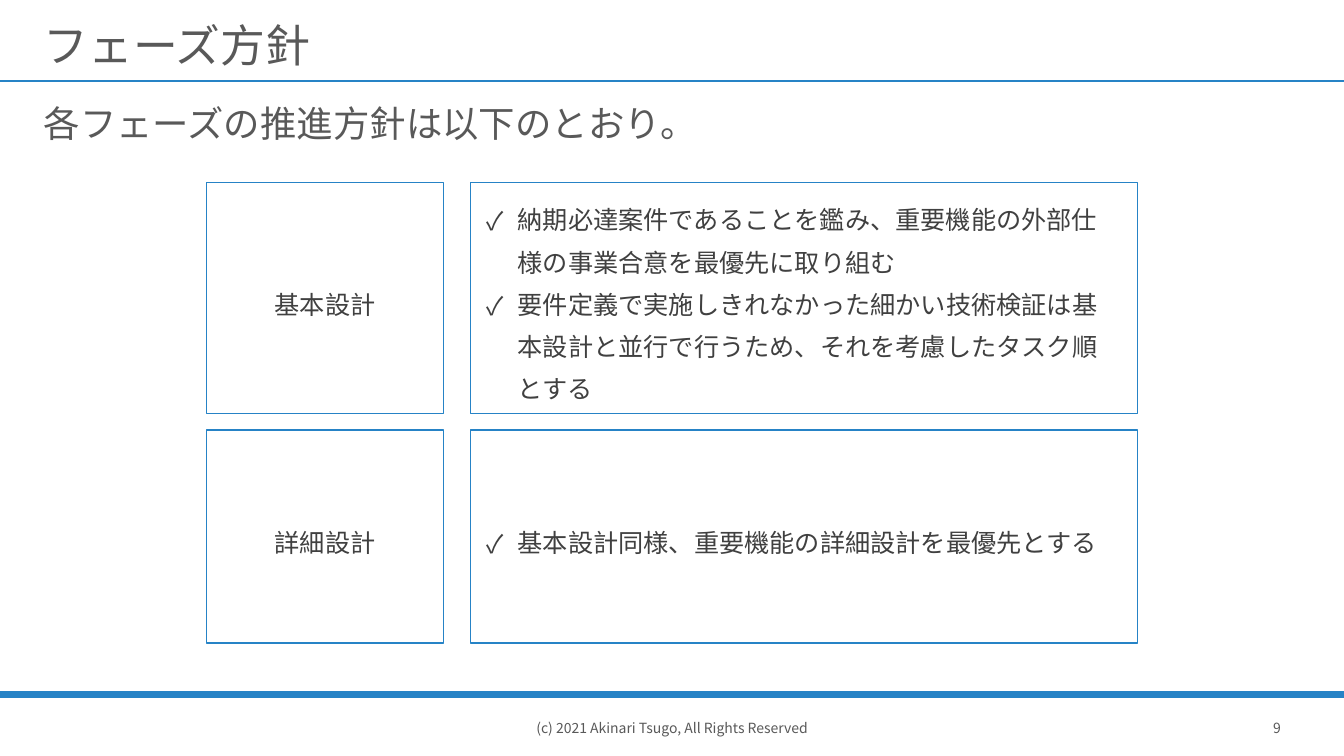
"""Build the phase policy slide."""
import dataclasses

import lxml.etree
import pptx
import pptx.dml.color
import pptx.enum.shapes
import pptx.enum.text
import pptx.oxml.ns
import pptx.util

Pt = pptx.util.Pt
RGB = pptx.dml.color.RGBColor.from_string
qn = pptx.oxml.ns.qn
ALIGN = pptx.enum.text.PP_ALIGN
ANCHOR = pptx.enum.text.MSO_ANCHOR


@dataclasses.dataclass(frozen=True)
class Theme:
    font: str = "Noto Sans CJK JP"
    accent: str = "2683C6"
    white: str = "FFFFFF"
    grey: str = "595959"
    dark: str = "404040"
    title: int = 32
    lead: int = 26
    body: int = 18
    small: int = 10


theme = Theme()


def style(p, size, color, align, spacing=1.0, bullet=None):
    """Format a paragraph and its runs."""
    p.alignment = align
    p.line_spacing = spacing
    p.space_before = Pt(0)
    pPr = p._p.get_or_add_pPr()
    indent = Pt(22.3) if bullet else 0
    pPr.set("marL", str(indent))
    pPr.set("indent", str(-indent))
    if bullet:
        lxml.etree.SubElement(pPr, qn("a:buFont")).set("typeface", theme.font)
        lxml.etree.SubElement(pPr, qn("a:buChar")).set("char", bullet)
    else:
        lxml.etree.SubElement(pPr, qn("a:buNone"))
    for r in p.runs:
        r.font.size = Pt(size)
        r.font.color.rgb = RGB(color)
        r.font.name = theme.font
        ea = lxml.etree.SubElement(r._r.get_or_add_rPr(), qn("a:ea"))
        ea.set("typeface", theme.font)


def set_frame(tf, anchor, margins=(7.2, 3.6, 7.2, 3.6), wrap=True):
    """Set the anchor, margins and wrapping of a text frame."""
    tf.auto_size = pptx.enum.text.MSO_AUTO_SIZE.NONE
    tf.word_wrap = wrap
    tf.vertical_anchor = anchor
    tf.margin_left, tf.margin_top, tf.margin_right, tf.margin_bottom = map(Pt, margins)


prs = pptx.Presentation()
prs.slide_width, prs.slide_height = Pt(960), Pt(540)
s = prs.slides.add_slide(prs.slide_layouts[1])

for y, weight in ((57.8, 1.25), (496.2, 4.5)):
    rule = s.shapes.add_connector(
        pptx.enum.shapes.MSO_CONNECTOR.STRAIGHT, 0, Pt(y), prs.slide_width, Pt(y))
    rule.line.color.rgb = RGB(theme.accent)
    rule.line.width = Pt(weight)
    lxml.etree.SubElement(rule._element.spPr, qn("a:effectLst"))

for left, width, text in (
    (888.5, 47.5, "9"),
    (332.75, 294.5, "(c) 2021 Akinari Tsugo, All Rights Reserved"),
):
    sp = s.shapes.add_textbox(Pt(left), Pt(500.4), Pt(width), Pt(39.6))
    set_frame(sp.text_frame, ANCHOR.MIDDLE, wrap=False)
    sp.text_frame.text = text
    style(sp.text_frame.paragraphs[0], theme.small, theme.grey, ALIGN.CENTER)

title, lead = s.shapes.title, s.placeholders[1]
for sp, top, height, text, size, anchor, margins in (
    (title, 4, 49.5, "フェーズ方針", theme.title, ANCHOR.MIDDLE, (7.2, 14.4, 7.2, 3.6)),
    (lead, 72, 52.5, "各フェーズの推進方針は以下のとおり。", theme.lead, ANCHOR.TOP,
     (7.2, 3.6, 7.2, 3.6)),
):
    sp.left, sp.top, sp.width, sp.height = Pt(24), Pt(top), Pt(912), Pt(height)
    set_frame(sp.text_frame, anchor, margins)
    sp.text_frame.text = text
    style(sp.text_frame.paragraphs[0], size, theme.grey, ALIGN.LEFT, 0.9)

phases = (
    (130.5, 165, "基本設計", (
        "納期必達案件であることを鑑み、重要機能の外部仕様の事業合意を最優先に取り組む",
        "要件定義で実施しきれなかった細かい技術検証は基本設計と並行で行うため、それを考慮したタスク順とする",
    )),
    (307.3, 152, "詳細設計", ("基本設計同様、重要機能の詳細設計を最優先とする",)),
)
for top, height, phase, policies in phases:
    for left, width, lines, margins, align, bullet in (
        (336, 476.7, policies, (11.5, 5.75, 11.5, 5.75), ALIGN.LEFT, "✓"),
        (147.5, 169.3, (phase,), (7.2, 3.6, 7.2, 3.6), ALIGN.CENTER, None),
    ):
        sp = s.shapes.add_shape(
            pptx.enum.shapes.MSO_SHAPE.RECTANGLE, Pt(left), Pt(top), Pt(width), Pt(height))
        sp.shadow.inherit = False
        sp.fill.solid()
        sp.fill.fore_color.rgb = RGB(theme.white)
        sp.line.color.rgb = RGB(theme.accent)
        sp.line.width = Pt(1)
        tf = sp.text_frame
        set_frame(tf, ANCHOR.MIDDLE, margins)
        tf.text = "\n".join(lines)
        for p in tf.paragraphs:
            style(p, theme.body, theme.dark, align, 1.4, bullet)

prs.save("out.pptx")
